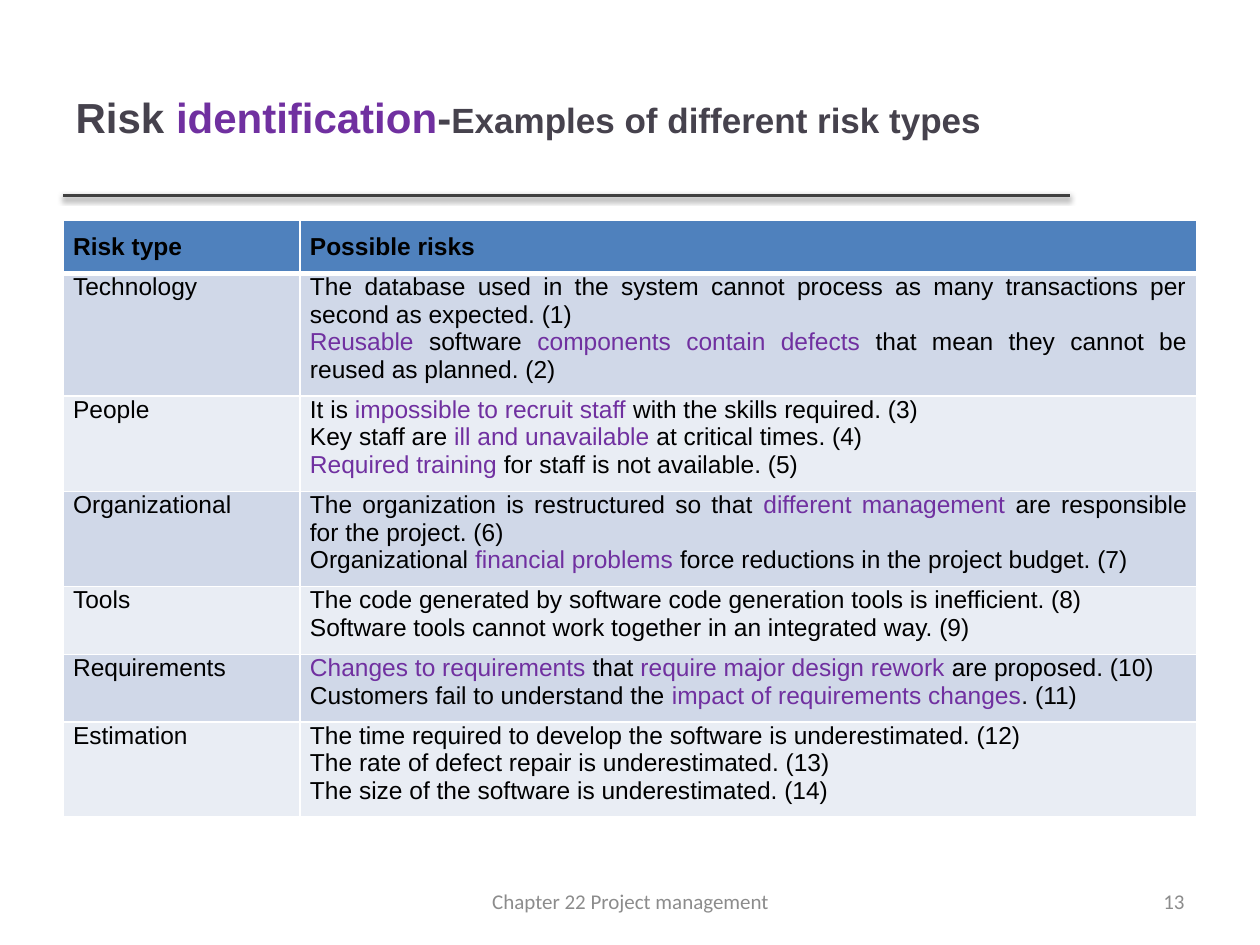
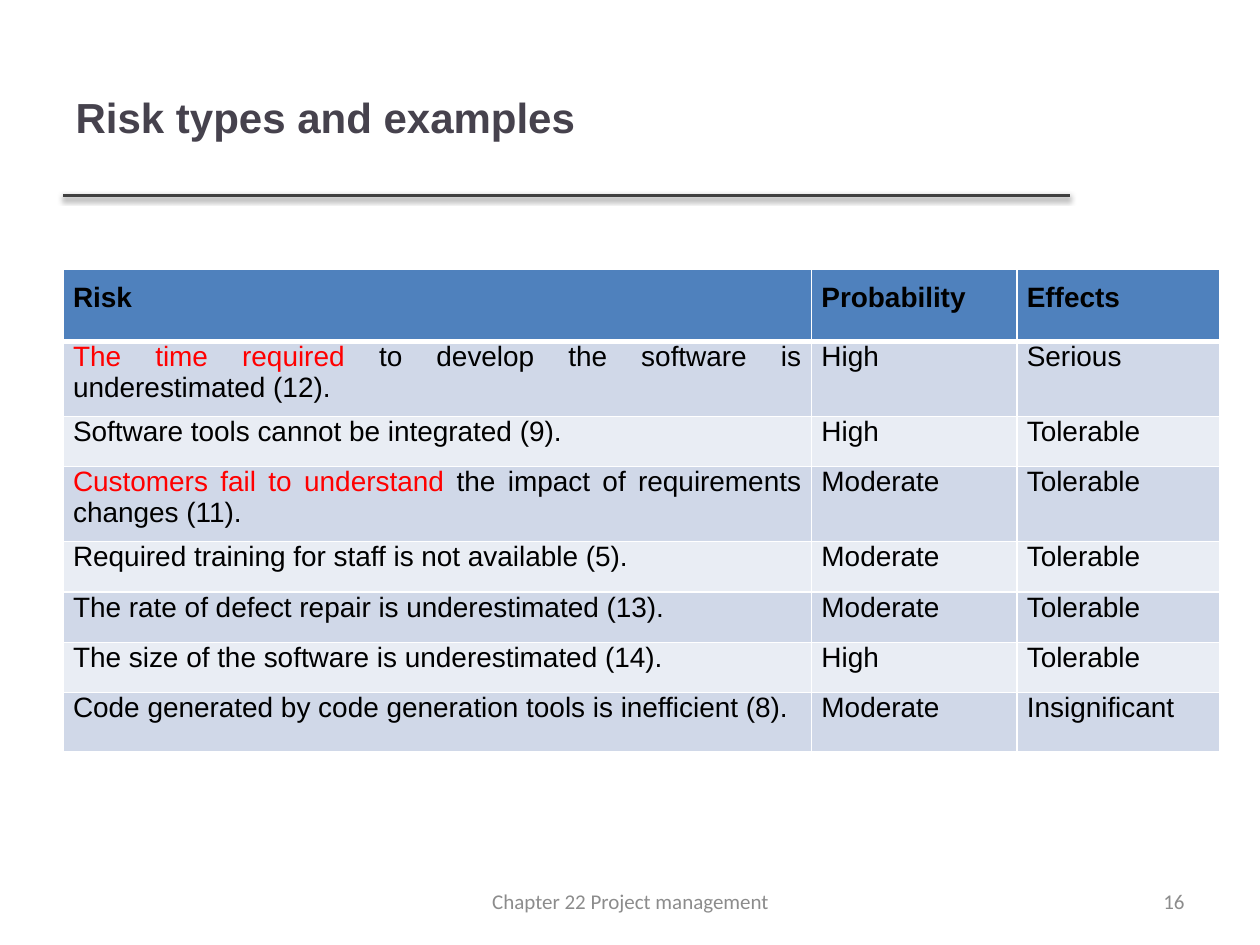
from lxml.etree import SubElement
from pptx import Presentation
from pptx.dml.color import RGBColor
from pptx.enum.shapes import MSO_CONNECTOR
from pptx.enum.text import MSO_ANCHOR, PP_ALIGN
from pptx.oxml import parse_xml
from pptx.oxml.ns import nsdecls, qn
from pptx.util import Inches, Pt

COLORS = {
    "title": "46424D", "text": "000000", "purple": "7030A0", "red": "FF0000",
    "rule": "404040", "footer": "8C8C8C", "border": "FFFFFF",
    "header": "4F81BD", "odd": "D0D8E8", "even": "E9EDF4",
}
FOOTER = "Chapter 22 Project management"
LEFT = 0.5
TITLE_BOX = (LEFT, 0.3, 7.98, 1.25)
FOOTER_BOX = (3.42, 6.95, 3.17, 0.4)
NUMBER_BOX = (7.17, 6.95, 2.33, 0.4)

# Text between bars takes the accent colour; each line of a cell is a paragraph.
SLIDES = [
    {
        "number": "13",
        "title": [("Risk |identification|-", 24), ("Examples of different risk types", 20)],
        "accent": "purple", "size": 14, "top": 1.75,
        "columns": [1.88, 7.12], "heights": [0.41] * 7,
        "rows": [
            ("Risk type", "Possible risks"),
            ("Technology",
             "The database used in the system cannot process as many transactions per second as expected. (1)\n"
             "|Reusable| software |components contain defects |that mean they cannot be reused as planned. (2)"),
            ("People",
             "It is |impossible to recruit staff |with the skills required. (3)\n"
             "Key staff are |ill and unavailable |at critical times. (4)\n"
             "|Required training |for staff is not available. (5)"),
            ("Organizational",
             "The organization is restructured so that |different management |are responsible for the project. (6)\n"
             "Organizational |financial problems |force reductions in the project budget. (7)"),
            ("Tools",
             "The code generated by software code generation tools is inefficient. (8)\n"
             "Software tools cannot work together in an integrated way. (9)"),
            ("Requirements",
             "|Changes to requirements |that |require major design rework |are proposed. (10)\n"
             "Customers fail to understand the |impact of requirements changes|. (11)"),
            ("Estimation",
             "The time required to develop the software is underestimated. (12)\n"
             "The rate of defect repair is underestimated. (13)\n"
             "The size of the software is underestimated. (14)"),
        ],
    },
    {
        "number": "16",
        "title": [("Risk types and examples", 24)],
        "accent": "red", "size": 16, "top": 2.14,
        "columns": [5.94, 1.63, 1.61],
        "heights": [0.57, 0.47, 0.4, 0.47, 0.4, 0.4, 0.4, 0.47],
        "rows": [
            ("Risk", "Probability", "Effects"),
            ("|The time required |to develop the software is underestimated (12).", "High", "Serious"),
            ("Software tools cannot be integrated (9).", "High", "Tolerable"),
            ("|Customers fail to understand| the impact of requirements changes (11).", "Moderate", "Tolerable"),
            ("Required training for staff is not available (5).", "Moderate", "Tolerable"),
            ("The rate of defect repair is underestimated (13).", "Moderate", "Tolerable"),
            ("The size of the software is underestimated (14).", "High", "Tolerable"),
            ("Code generated by code generation tools is inefficient (8).", "Moderate", "Insignificant"),
        ],
    },
]


def rgb(name):
    return RGBColor.from_string(COLORS[name])


def add_runs(paragraph, marked, size, color, accent=None, font="Arial", bold=False):
    """Write marked text, colouring every second part between bars."""
    for index, words in enumerate(marked.split("|")):
        if words:
            run = paragraph.add_run()
            run.text = words
            for key, value in {"name": font, "size": Pt(size), "bold": bold}.items():
                setattr(run.font, key, value)
            run.font.color.rgb = rgb(accent if index % 2 else color)


def add_title(slide, parts, accent):
    title = slide.shapes.title
    for key, value in zip(("left", "top", "width", "height"), TITLE_BOX):
        setattr(title, key, Inches(value))
    frame = title.text_frame
    frame.word_wrap = True
    frame.vertical_anchor = MSO_ANCHOR.MIDDLE
    paragraph = frame.paragraphs[0]
    paragraph.alignment = PP_ALIGN.LEFT
    for marked, size in parts:
        add_runs(paragraph, marked, size, "title", accent, bold=True)


def add_title_rule(slide):
    y = Inches(1.55)
    rule = slide.shapes.add_connector(MSO_CONNECTOR.STRAIGHT, Inches(LEFT), y, Inches(8.49), y)
    rule.line.color.rgb = rgb("rule")
    rule.line.width = Pt(2)
    rule._element.spPr.append(parse_xml(
        f'<a:effectLst {nsdecls("a")}><a:outerShdw blurRad="{Pt(3.1)}" dist="{Pt(1.6)}" '
        'dir="5400000" rotWithShape="0"><a:srgbClr val="000000"><a:alpha val="38000"/>'
        '</a:srgbClr></a:outerShdw></a:effectLst>'))


def add_footer_text(slide, box, words, alignment):
    frame = slide.shapes.add_textbox(*map(Inches, box)).text_frame
    frame.word_wrap = True
    frame.vertical_anchor = MSO_ANCHOR.MIDDLE
    frame.paragraphs[0].alignment = alignment
    add_runs(frame.paragraphs[0], words, 12, "footer", font="Calibri")


def set_borders(cell, row):
    """Thin white borders, with a thick one between the header and the first row."""
    widths = {"L": 1, "R": 1, "T": 3 if row == 1 else 1, "B": 3 if row == 0 else 1}
    properties = cell._tc.get_or_add_tcPr()
    for side, width in widths.items():
        line = SubElement(properties, qn(f"a:ln{side}"), w=str(Pt(width)))
        fill = SubElement(line, qn("a:solidFill"))
        SubElement(fill, qn("a:srgbClr"), val=COLORS["border"])


def fill_cell(cell, row, content, size, accent):
    is_header = row == 0
    margins = {"left": 0.08, "right": 0.08, "top": 0.1 if is_header else 0, "bottom": 0.1}
    for side, value in margins.items():
        setattr(cell, f"margin_{side}", Inches(value))
    set_borders(cell, row)
    cell.fill.solid()
    cell.fill.fore_color.rgb = rgb("header" if is_header else "odd" if row % 2 else "even")
    frame = cell.text_frame
    for index, sentence in enumerate(content.split("\n")):
        paragraph = frame.add_paragraph() if index else frame.paragraphs[0]
        paragraph.alignment = PP_ALIGN.JUSTIFY
        add_runs(paragraph, sentence, size, "text", accent, bold=is_header)


def add_risk_table(slide, page):
    columns, heights = page["columns"], page["heights"]
    box = (LEFT, page["top"], sum(columns), sum(heights))
    table = slide.shapes.add_table(len(heights), len(columns), *map(Inches, box)).table
    table.first_row = table.horz_banding = False
    for column, width in zip(table.columns, columns):
        column.width = Inches(width)
    for row, height in zip(table.rows, heights):
        row.height = Inches(height)
    for r, contents in enumerate(page["rows"]):
        for c, content in enumerate(contents):
            fill_cell(table.cell(r, c), r, content, page["size"], page["accent"])


def main():
    deck = Presentation()
    deck.slide_width, deck.slide_height = Inches(10), Inches(7.5)
    title_only = deck.slide_layouts[5]
    for page in SLIDES:
        slide = deck.slides.add_slide(title_only)
        add_title_rule(slide)
        add_title(slide, page["title"], page["accent"])
        add_risk_table(slide, page)
        add_footer_text(slide, NUMBER_BOX, page["number"], PP_ALIGN.RIGHT)
        add_footer_text(slide, FOOTER_BOX, FOOTER, PP_ALIGN.CENTER)
    deck.save("out.pptx")


if __name__ == "__main__":
    main()
